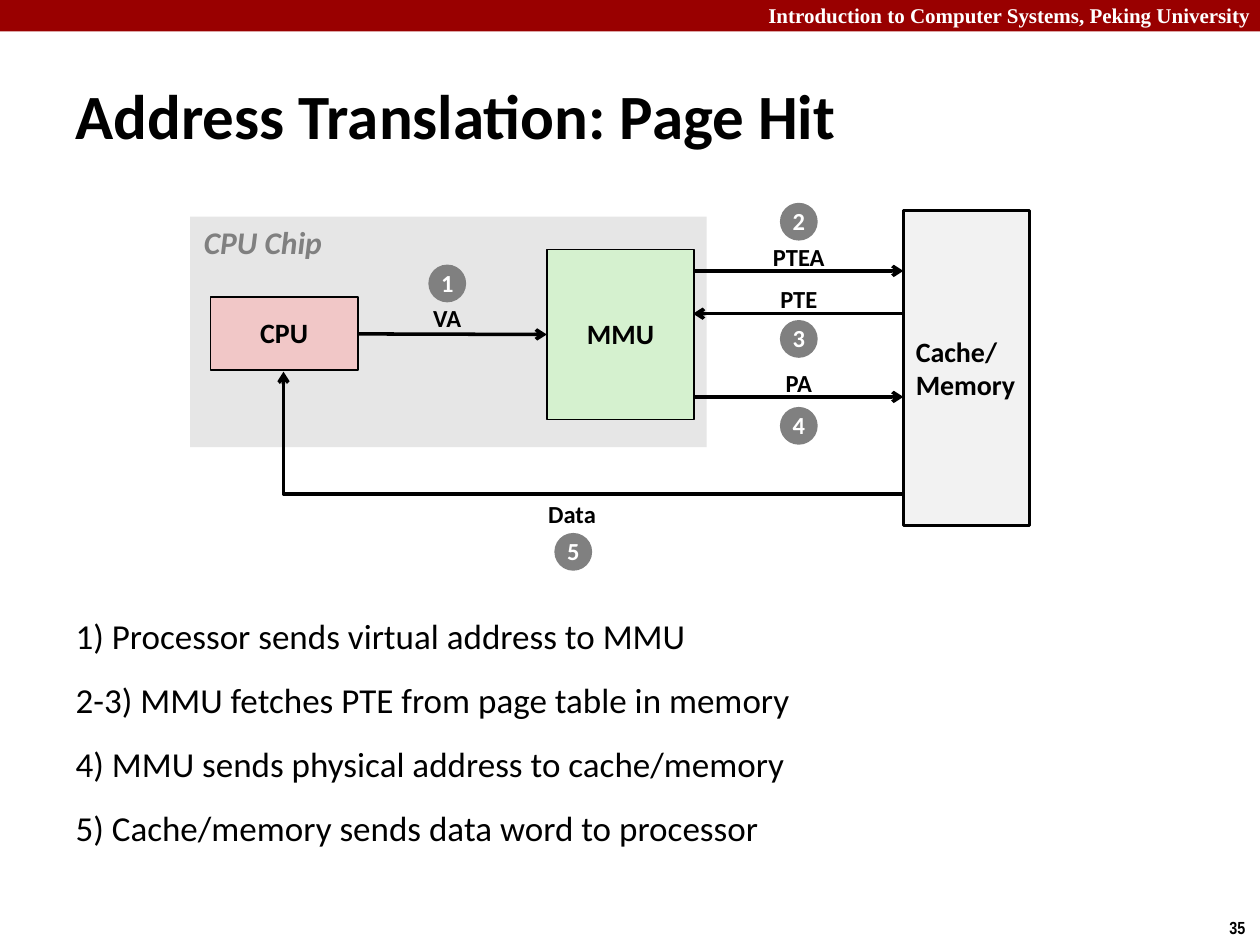
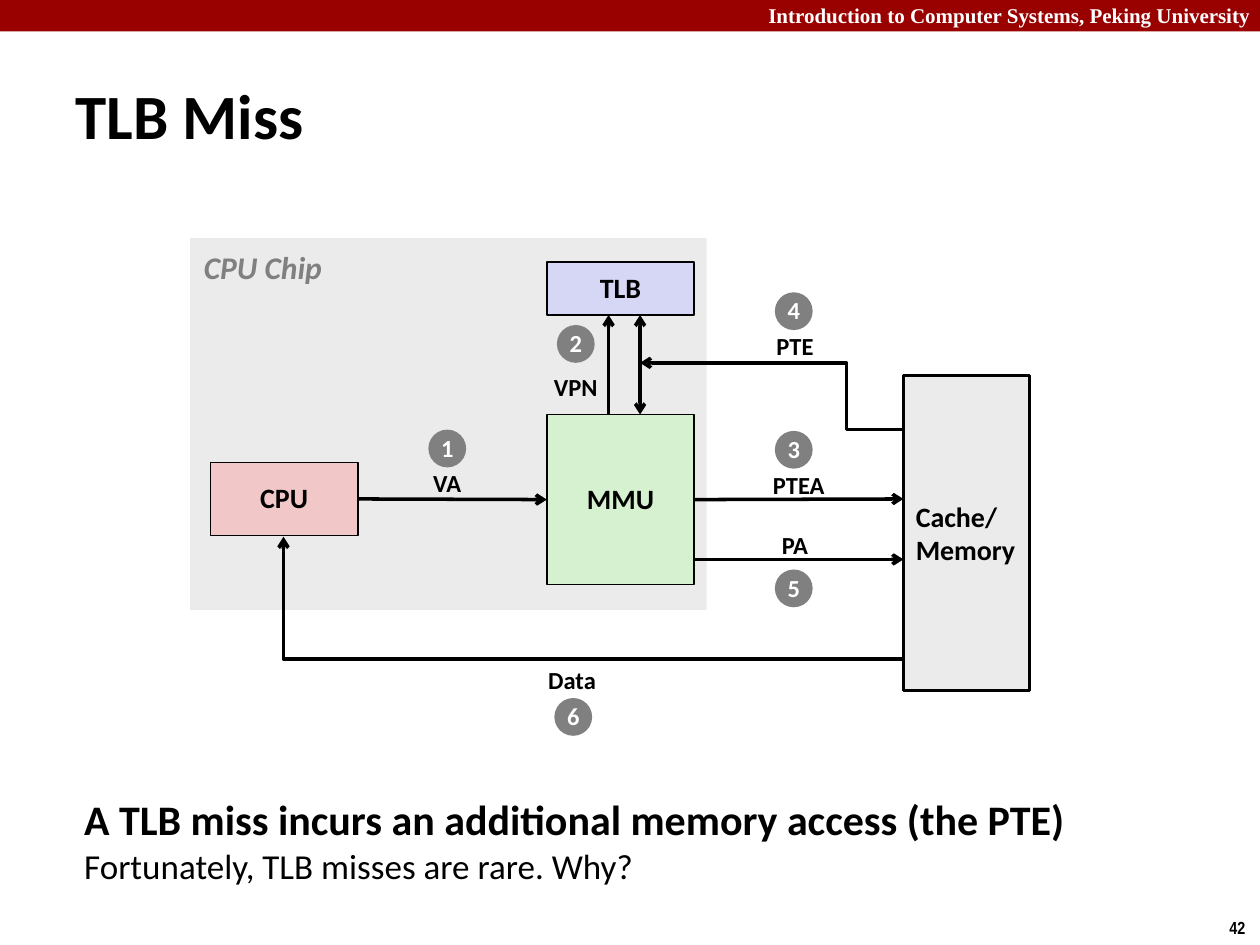
from lxml import etree
from pptx import Presentation
from pptx.dml.color import RGBColor
from pptx.enum.shapes import MSO_CONNECTOR as CONN, MSO_SHAPE as SHAPE
from pptx.enum.text import MSO_ANCHOR as ANCHOR, MSO_AUTO_SIZE as AUTO, PP_ALIGN as ALIGN
from pptx.oxml.ns import qn
from pptx.util import Inches, Pt

BLACK = RGBColor(0x00, 0x00, 0x00)
WHITE = RGBColor(0xFF, 0xFF, 0xFF)
BAND_RED = RGBColor(0x99, 0x00, 0x00)
GRAY = RGBColor(0x80, 0x80, 0x80)
CHIP_GRAY = RGBColor(0xE6, 0xE6, 0xE6)
PALE_GRAY = RGBColor(0xEB, 0xEB, 0xEB)
LIGHT_GRAY = RGBColor(0xF2, 0xF2, 0xF2)
GREEN = RGBColor(0xD5, 0xF1, 0xCF)
PINK = RGBColor(0xF1, 0xC7, 0xC7)
LAVENDER = RGBColor(0xD6, 0xD6, 0xF5)

TITLE_AND_BODY, TITLE_ONLY = 1, 5
BUS_LEFT, BUS_RIGHT = 5.5, 7.17
LABEL_W, LABEL_H = 0.8, 0.33
BADGE = 0.3
TOP, LEFT, BOTTOM, RIGHT = range(4)


class Deck:
    """Holds the shared style and the slide being drawn."""

    font = "Calibri"

    def __init__(self):
        self.prs = Presentation()
        self.prs.slide_width, self.prs.slide_height = Inches(10), Inches(7.5)
        self.slide = None

    def new_slide(self, layout, title, number):
        self.slide = self.prs.slides.add_slide(self.prs.slide_layouts[layout])
        self.box(0, 0, 10, 0.25, BAND_RED)
        header = self.text_box(6, -0.03, 4.07, 0.3)
        self.run(header.paragraphs[0], "Introduction to Computer Systems, Peking University",
                 12, WHITE, bold=True, font="Times New Roman")
        footer = self.text_box(9.66, 7.23, 0.34, 0.27, wrap=False)
        self.run(footer.paragraphs[0], number, 10, bold=True, font="Arial Narrow")

        tf = self.place(self.slide.shapes.title, 0.5, 0.48, 9.53, 0.86)
        tf.vertical_anchor = ANCHOR.MIDDLE
        tf.paragraphs[0].alignment = ALIGN.LEFT
        self.run(tf.paragraphs[0], title, 36, bold=True)

    def place(self, sp, x, y, w, h):
        """Move a placeholder and return its text frame."""
        sp.left, sp.top, sp.width, sp.height = map(Inches, (x, y, w, h))
        sp.text_frame.auto_size = AUTO.NONE
        return sp.text_frame

    def run(self, p, text, size, color=BLACK, bold=False, italic=False, font=None):
        r = p.add_run()
        r.text = text
        r.font.name = font or self.font
        r.font.size = Pt(size)
        r.font.bold, r.font.italic = bold, italic
        r.font.color.rgb = color

    def text_box(self, x, y, w, h, wrap=True):
        tf = self.slide.shapes.add_textbox(*map(Inches, (x, y, w, h))).text_frame
        tf.word_wrap = wrap
        return tf

    def body(self, lines, x, y, w, h):
        tf = self.place(self.slide.placeholders[1], x, y, w, h)
        for i, line in enumerate(lines):
            p = tf.add_paragraph() if i else tf.paragraphs[0]
            pPr = p._p.get_or_add_pPr()
            pPr.set("marL", str(Inches(0.38)))
            pPr.set("indent", str(-Inches(0.38)))
            etree.SubElement(pPr, qn("a:buNone"))
            p.space_before = Pt(12.5 if i else 0)
            self.run(p, line, 20)

    def centered(self, tf, text, size, color=BLACK):
        tf.word_wrap = False
        tf.vertical_anchor = ANCHOR.MIDDLE
        p = tf.paragraphs[0]
        p.alignment = ALIGN.CENTER
        p.line_spacing = 0.98
        self.run(p, text, size, color, bold=True)

    def box(self, x, y, w, h, fill, text=None, line=None, kind=SHAPE.RECTANGLE,
            size=16, color=BLACK):
        s = self.slide.shapes.add_shape(kind, *map(Inches, (x, y, w, h)))
        s.shadow.inherit = False
        s.fill.solid()
        s.fill.fore_color.rgb = fill
        if line:
            s.line.color.rgb = BLACK
            s.line.width = Pt(line)
        else:
            s.line.fill.background()
        if text:
            self.centered(s.text_frame, text, size, color)
        return s

    def label(self, text, cx, cy):
        tf = self.text_box(cx - LABEL_W / 2, cy - LABEL_H / 2, LABEL_W, LABEL_H)
        self.centered(tf, text, 14)

    def badge(self, number, cx, cy):
        self.box(cx - BADGE / 2, cy - BADGE / 2, BADGE, BADGE, GRAY, number,
                 kind=SHAPE.OVAL, size=14, color=WHITE)

    def connector(self, kind, x1, y1, x2, y2, heads=("tailEnd",)):
        c = self.slide.shapes.add_connector(kind, *map(Inches, (x1, y1, x2, y2)))
        c.line.color.rgb = BLACK
        c.line.width = Pt(2)
        ln = c.line._get_or_add_ln()
        for head in heads:
            etree.SubElement(ln, qn(f"a:{head}"), type="arrow")
        etree.SubElement(c._element.spPr, qn("a:effectLst"))
        return c

    def arrow(self, x1, y1, x2, y2, **options):
        return self.connector(CONN.STRAIGHT, x1, y1, x2, y2, **options)

    def elbow(self, x1, y1, x2, y2, preset, bend=None):
        """Bent arrow from lower right (x1, y1) to upper left (x2, y2)."""
        c = self.connector(CONN.ELBOW, x2, y2, x1, y1)
        spPr = c._element.spPr
        spPr.find(qn("a:xfrm")).set("rot", str(180 * 60000))
        geom = spPr.find(qn("a:prstGeom"))
        geom.set("prst", preset)
        if bend is not None:
            guides = geom.find(qn("a:avLst"))
            if guides is None:
                guides = etree.SubElement(geom, qn("a:avLst"))
            etree.SubElement(guides, qn("a:gd"), name="adj1", fmla=f"val {round(bend * 100000)}")

    def chip(self, y, h, fill, name_y):
        self.box(1.51, y, 4.1, h, fill)
        tf = self.text_box(1.52, name_y, 1.16, 0.4, wrap=False)
        self.run(tf.paragraphs[0], "CPU Chip", 18, GRAY, bold=True, italic=True)

    def memory_system(self, y, memory_fill, data_step):
        """CPU, MMU and memory with the VA and Data paths; y is the memory's top."""
        cpu = self.box(1.67, y + 0.69, 1.17, 0.58, PINK, "CPU", line=1)
        mmu = self.box(4.34, y + 0.31, 1.17, 1.35, GREEN, "MMU", line=1)
        memory = self.box(7.17, y, 1, 2.5, memory_fill, line=1.5)
        tf = memory.text_frame
        tf.word_wrap = False
        tf.vertical_anchor = ANCHOR.MIDDLE
        for p, word in zip((tf.paragraphs[0], tf.add_paragraph()), ("Cache/", "Memory")):
            p.alignment = ALIGN.LEFT
            self.run(p, word, 16, bold=True)

        va = self.arrow(2.84, y + 0.98, 4.34, y + 0.98)
        va.begin_connect(cpu, RIGHT)
        va.end_connect(mmu, LEFT)
        self.label("VA", 3.55, y + 0.86)
        self.badge("1", 3.55, y + 0.58)
        self.elbow(7.17, y + 2.25, 2.25, y + 1.28, "bentConnector2")
        self.label("Data", 4.54, y + 2.42)
        self.badge(data_step, 4.55, y + 2.71)
        return mmu


def page_hit(deck):
    deck.new_slide(TITLE_AND_BODY, "Address Translation: Page Hit", "35")
    deck.chip(1.72, 1.83, CHIP_GRAY, 1.72)
    deck.memory_system(1.67, LIGHT_GRAY, "5")
    for step, name, start, end, y, label_y, badge_y in (
            ("2", "PTEA", BUS_LEFT, BUS_RIGHT, 2.15, 2.05, 1.76),
            ("3", "PTE", BUS_RIGHT, BUS_LEFT, 2.49, 2.38, 2.69),
            ("4", "PA", BUS_LEFT, BUS_RIGHT, 3.15, 3.05, 3.38)):
        deck.arrow(start, y, end, y)
        deck.label(name, 6.34, label_y)
        deck.badge(step, 6.34, badge_y)
    deck.body(["1) Processor sends virtual address to MMU",
               "2-3) MMU fetches PTE from page table in memory",
               "4) MMU sends physical address to cache/memory",
               "5) Cache/memory sends data word to processor"], 0.5, 4.83, 7.42, 2.25)


def tlb_miss(deck):
    deck.new_slide(TITLE_ONLY, "TLB Miss", "42")
    deck.chip(1.89, 2.95, PALE_GRAY, 1.92)
    mmu = deck.memory_system(2.98, PALE_GRAY, "6")
    deck.box(4.34, 2.08, 1.17, 0.42, LAVENDER, "TLB", line=1)
    deck.arrow(4.83, 3.29, 4.83, 2.5)
    deck.arrow(5.08, 2.5, 5.08, 3.29, heads=("headEnd", "tailEnd"))
    ptea = deck.arrow(BUS_LEFT, 3.96, BUS_RIGHT, 3.96)
    ptea.begin_connect(mmu, RIGHT)
    deck.arrow(BUS_LEFT, 4.44, BUS_RIGHT, 4.44)
    deck.elbow(7.17, 3.41, 5.08, 2.88, "bentConnector3", bend=0.216)
    for step, name, label_x, label_y, badge_x, badge_y in (
            ("2", "VPN", 4.57, 3.08, 4.57, 2.73),
            ("3", "PTEA", 6.34, 3.86, 6.3, 3.57),
            ("4", "PTE", 6.31, 2.75, 6.3, 2.47),
            ("5", "PA", 6.31, 4.33, 6.3, 4.67)):
        deck.label(name, label_x, label_y)
        deck.badge(step, badge_x, badge_y)
    p = deck.text_box(0.57, 6.25, 8.43, 1).paragraphs[0]
    deck.run(p, "A TLB miss incurs an additional memory access (the PTE)", 24, bold=True)
    p.add_line_break()
    deck.run(p, "Fortunately, TLB misses are rare. Why?", 20)


def main():
    deck = Deck()
    page_hit(deck)
    tlb_miss(deck)
    deck.prs.save("out.pptx")


if __name__ == "__main__":
    main()
